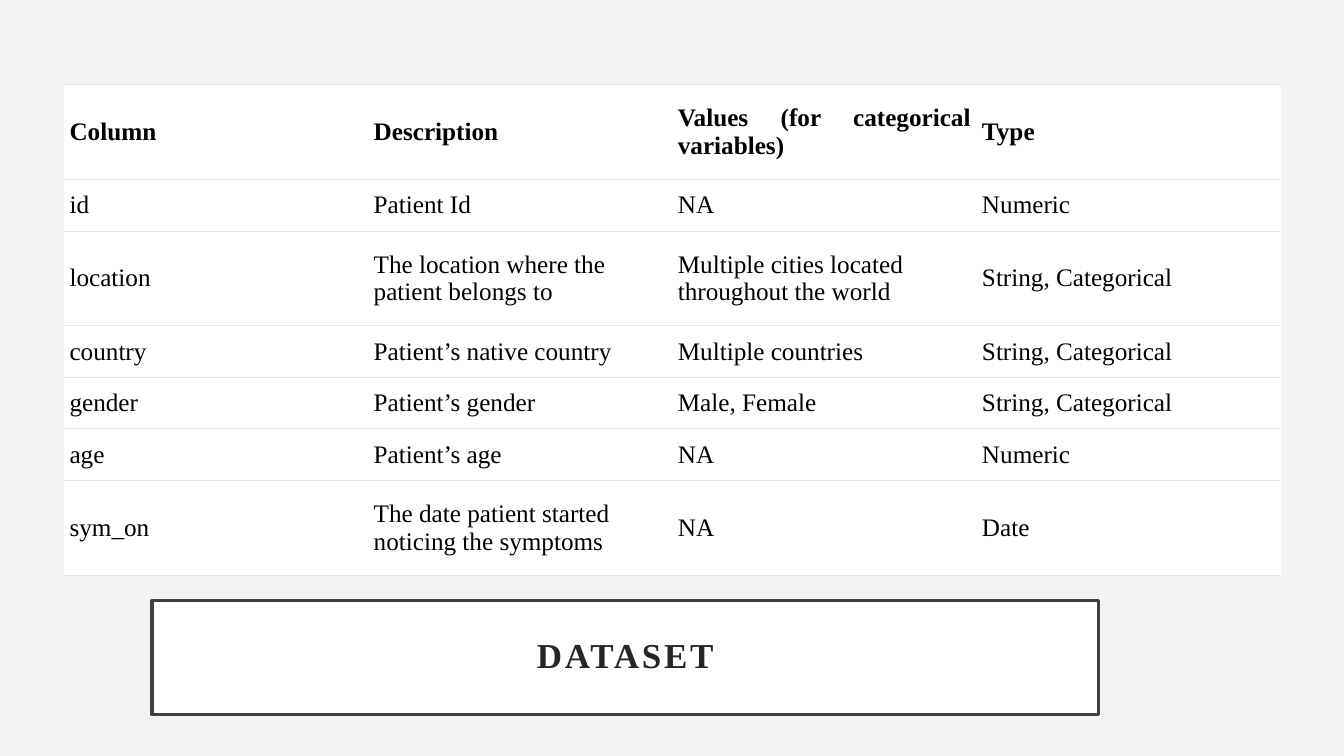
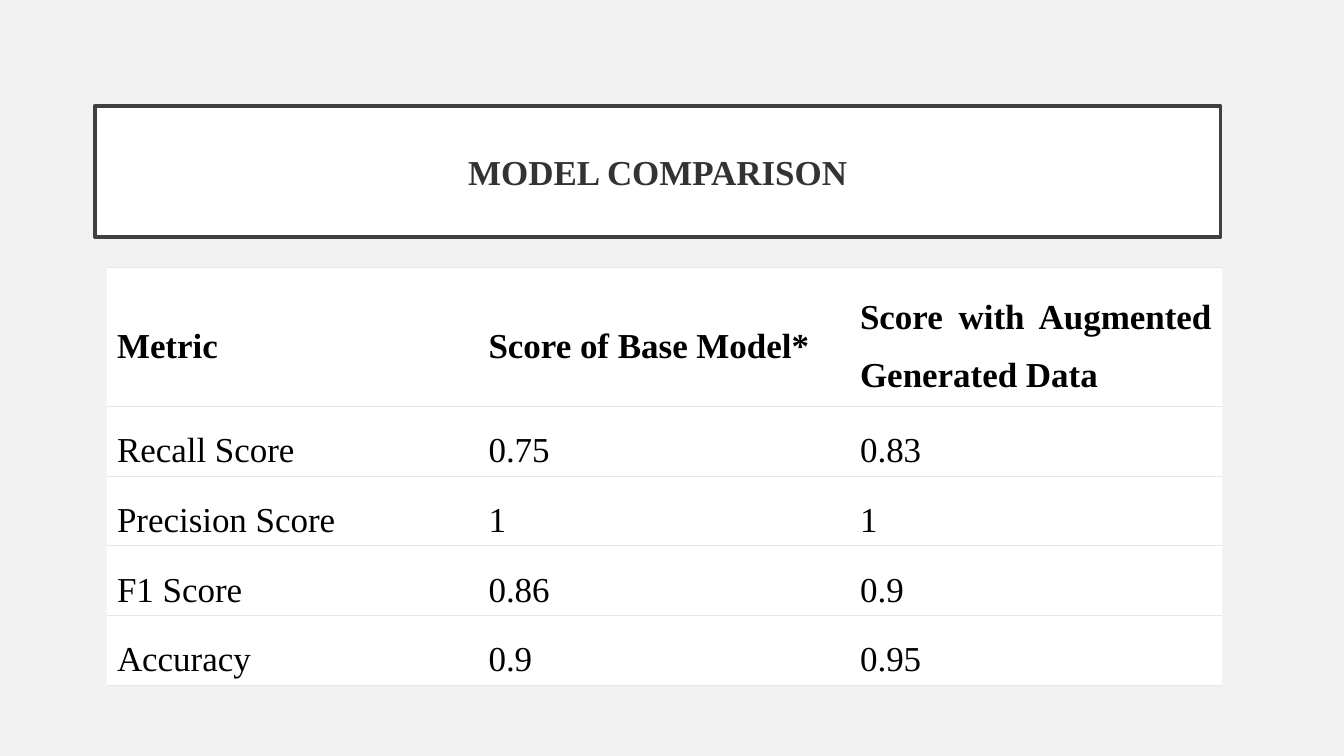
from lxml import etree
from pptx import Presentation
from pptx.dml.color import RGBColor
from pptx.enum.text import MSO_ANCHOR, MSO_AUTO_SIZE, PP_ALIGN
from pptx.oxml.ns import qn
from pptx.util import Pt

MIDDLE = MSO_ANCHOR.MIDDLE
NO_AUTOFIT = MSO_AUTO_SIZE.NONE
LEFT, CENTER, JUSTIFY = PP_ALIGN.LEFT, PP_ALIGN.CENTER, PP_ALIGN.JUSTIFY

FONT = "Times New Roman"
PLAIN_TABLE = "{2D5ABB26-0587-4C30-8999-92F81FD0307C}"
COLORS = {
    "background": "F2F2F2",
    "panel": "FFFFFF",
    "frame": "404040",
    "rule": "E7E7E7",
    "text": "000000",
}

SLIDES = [
    {
        "title": "DATASET",
        "title_box": (108.7, 429, 676, 81.4),
        "title_color": "262626",
        "title_spacing": 0.9,
        "tracking": 2,
        "table_at": (45.7, 60.4),
        "col_width": 217.25,
        "heights": [67.8, 36.8, 67.8, 36.8, 36.8, 36.8, 67.8],
        "insets": (4, 2),
        "size": 18,
        "spacing": 1.0,
        "justified": [(0, 2)],
        "rows": [
            ["Column", "Description", "Values (for categorical variables)", "Type"],
            ["id", "Patient Id", "NA", "Numeric"],
            ["location", "The location where the patient belongs to",
             "Multiple cities located throughout the world", "String, Categorical"],
            ["country", "Patient’s native country", "Multiple countries", "String, Categorical"],
            ["gender", "Patient’s gender", "Male, Female", "String, Categorical"],
            ["age", "Patient’s age", "NA", "Numeric"],
            ["sym_on", "The date patient started noticing the symptoms", "NA", "Date"],
        ],
    },
    {
        "title": "MODEL COMPARISON",
        "title_box": (67.7, 75.6, 804.2, 93.6),
        "title_color": "333333",
        "title_spacing": 1.0,
        "tracking": 0,
        "table_at": (76.4, 191.4),
        "col_width": 265.4,
        "heights": [99] + [49.8] * 4,
        "insets": (7.2, 3.6),
        "size": 25,
        "spacing": 1.5,
        "justified": [(i, j) for i in range(5) for j in range(3)],
        "rows": [
            ["Metric", "Score of Base Model*", "Score with Augmented Generated Data"],
            ["Recall Score", "0.75", "0.83"],
            ["Precision Score", "1", "1"],
            ["F1 Score", "0.86", "0.9"],
            ["Accuracy", "0.9", "0.95"],
        ],
    },
]


def write(tf, text, size, color, bold=False, align=LEFT, spacing=1.0, tracking=0):
    p = tf.paragraphs[0]
    p.alignment = align
    p.line_spacing = spacing
    r = p.add_run()
    r.text = text
    r.font.name = FONT
    r.font.size = Pt(size)
    r.font.bold = bold
    r.font.color.rgb = RGBColor.from_string(color)
    if tracking:
        r.font._element.set("spc", str(tracking * 100))


def add_rules(cell, color):
    tc_pr = cell._tc.get_or_add_tcPr()
    for pos, side in enumerate(("a:lnT", "a:lnB")):
        ln = etree.Element(qn(side), w=str(Pt(0.75)))
        fill = etree.SubElement(ln, qn("a:solidFill"))
        etree.SubElement(fill, qn("a:srgbClr"), val=color)
        tc_pr.insert(pos, ln)


prs = Presentation()
prs.slide_width, prs.slide_height = Pt(960), Pt(540)
bg = prs.slide_master.background.fill
bg.solid()
bg.fore_color.rgb = RGBColor.from_string(COLORS["background"])

for d in SLIDES:
    s = prs.slides.add_slide(prs.slide_layouts[5])

    sp = s.shapes.title
    sp.left, sp.top, sp.width, sp.height = [Pt(v) for v in d["title_box"]]
    sp.fill.solid()
    sp.fill.fore_color.rgb = RGBColor.from_string(COLORS["panel"])
    sp.line.color.rgb = RGBColor.from_string(COLORS["frame"])
    sp.line.width = Pt(2.5)
    tf = sp.text_frame
    tf.word_wrap = True
    tf.auto_size = NO_AUTOFIT
    tf.vertical_anchor = MIDDLE
    tf.margin_left = tf.margin_right = tf.margin_top = tf.margin_bottom = Pt(14.4)
    write(tf, d["title"], 25, d["title_color"], bold=True, align=CENTER,
          spacing=d["title_spacing"], tracking=d["tracking"])

    rows = d["rows"]
    cols = len(rows[0])
    left, top = d["table_at"]
    table = s.shapes.add_table(len(rows), cols, Pt(left), Pt(top),
                               Pt(d["col_width"] * cols), Pt(sum(d["heights"]))).table
    table.first_row = table.horz_banding = False
    table._tbl.tblPr.find(qn("a:tableStyleId")).text = PLAIN_TABLE
    for col in table.columns:
        col.width = Pt(d["col_width"])
    side, edge = d["insets"]
    for i, values in enumerate(rows):
        table.rows[i].height = Pt(d["heights"][i])
        for j, text in enumerate(values):
            cell = table.cell(i, j)
            cell.fill.solid()
            cell.fill.fore_color.rgb = RGBColor.from_string(COLORS["panel"])
            cell.vertical_anchor = MIDDLE
            cell.margin_left = cell.margin_right = Pt(side)
            cell.margin_top = cell.margin_bottom = Pt(edge)
            add_rules(cell, COLORS["rule"])
            write(cell.text_frame, text, d["size"], COLORS["text"], bold=i == 0,
                  align=JUSTIFY if (i, j) in d["justified"] else LEFT,
                  spacing=d["spacing"])

prs.save("out.pptx")
